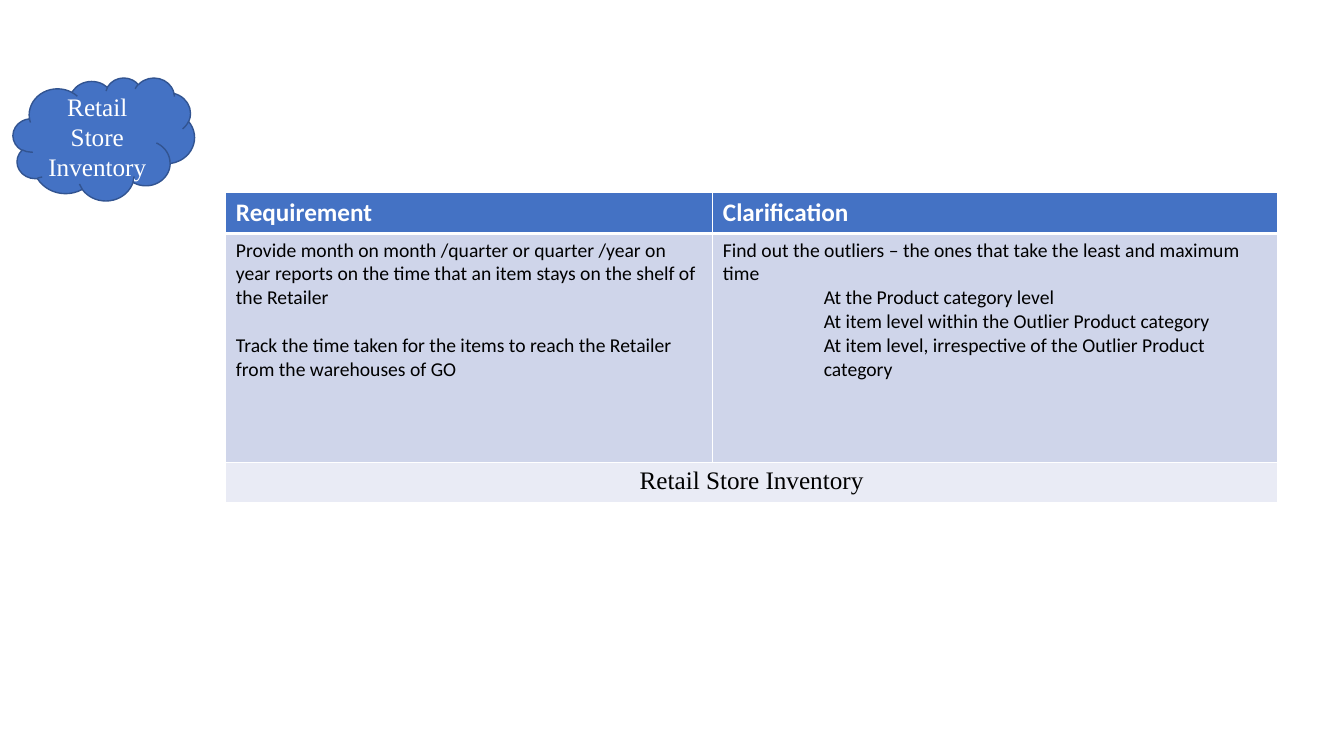
from dataclasses import dataclass

from lxml import etree
from pptx import Presentation
from pptx.dml.color import RGBColor
from pptx.enum.shapes import MSO_SHAPE
from pptx.enum.text import MSO_ANCHOR, PP_ALIGN
from pptx.oxml.ns import qn
from pptx.util import Inches, Pt

CLOUD = MSO_SHAPE.CLOUD
MIDDLE = MSO_ANCHOR.MIDDLE
LEFT, CENTER = PP_ALIGN.LEFT, PP_ALIGN.CENTER
BLANK_LAYOUT = 6


@dataclass(frozen=True)
class Theme:
    accent: str = "4472C4"
    outline: str = "325491"
    body_fill: str = "CFD5EA"
    footer_fill: str = "E9EBF5"
    white: str = "FFFFFF"
    black: str = "000000"
    sans: str = "Calibri"
    serif: str = "Times New Roman"
    large: int = 18
    small: int = 14
    thin: int = 1
    thick: int = 3


THEME = Theme()
TOPIC = "Retail Store Inventory"
HEADINGS = ["Requirement", "Clarification"]
REQUIREMENTS = [
    "Provide month on month /quarter or quarter /year on year reports on the time "
    "that an item stays on the shelf of the Retailer",
    "Track the time taken for the items to reach the Retailer from the warehouses of GO",
]
OUTLIER_TASK = "Find out the outliers – the ones that take the least and maximum time"
OUTLIER_LEVELS = [
    "At the Product category level",
    "At item level within the Outlier Product category",
    "At item level, irrespective of the Outlier Product category",
]


def write(frame, text, size=THEME.large, font=THEME.sans, color=THEME.black,
          bold=False, align=LEFT, before=0, level=0, indent=0):
    paragraph = frame.paragraphs[0] if not frame.text else frame.add_paragraph()
    paragraph.alignment = align
    paragraph.level = level
    paragraph.space_before = Pt(before)
    if indent:
        properties = paragraph._p.get_or_add_pPr()
        properties.set("marL", str(Inches(indent)))
        properties.set("indent", "0")
    run = paragraph.add_run()
    run.text = text
    run.font.size = Pt(size)
    run.font.name = font
    run.font.bold = bold
    run.font.color.rgb = RGBColor.from_string(color)


def paint(target, color):
    target.fill.solid()
    target.fill.fore_color.rgb = RGBColor.from_string(color)


def border(cell, top, bottom):
    properties = cell._tc.get_or_add_tcPr()
    widths = {"a:lnL": THEME.thin, "a:lnR": THEME.thin, "a:lnT": top, "a:lnB": bottom}
    for side, width in widths.items():
        line = etree.SubElement(properties, qn(side), w=str(Pt(width)))
        solid = etree.SubElement(line, qn("a:solidFill"))
        etree.SubElement(solid, qn("a:srgbClr"), val=THEME.white)


def add_topic_cloud(slide, left, top, width, height):
    cloud = slide.shapes.add_shape(
        CLOUD, Inches(left), Inches(top), Inches(width), Inches(height))
    cloud.shadow.inherit = False
    paint(cloud, THEME.accent)
    cloud.line.color.rgb = RGBColor.from_string(THEME.outline)
    cloud.line.width = Pt(THEME.thin)
    cloud.text_frame.word_wrap = True
    cloud.text_frame.vertical_anchor = MIDDLE
    write(cloud.text_frame, TOPIC, font=THEME.serif, color=THEME.white, align=CENTER)


def add_requirements_table(slide, left, top, width, height):
    table = slide.shapes.add_table(
        3, 2, Inches(left), Inches(top), Inches(width), Inches(height)).table
    table.horz_banding = False
    first_column, edge_row = 4.83, 0.4
    for column, size in zip(table.columns, (first_column, width - first_column)):
        column.width = Inches(size)
    for row, size in zip(table.rows, (edge_row, height - 2 * edge_row, edge_row)):
        row.height = Inches(size)

    row_styles = [
        (THEME.accent, THEME.thin, THEME.thick),
        (THEME.body_fill, THEME.thick, THEME.thin),
        (THEME.footer_fill, THEME.thin, THEME.thin),
    ]
    for row, (fill, upper, lower) in zip(table.rows, row_styles):
        for cell in row.cells:
            border(cell, upper, lower)
            paint(cell, fill)

    for column, heading in enumerate(HEADINGS):
        write(table.cell(0, column).text_frame, heading, color=THEME.white, bold=True)

    requirement, clarification = (table.cell(1, column).text_frame for column in range(2))
    for index, text in enumerate(REQUIREMENTS):
        write(requirement, text, size=THEME.small, before=17 * index)
    write(clarification, OUTLIER_TASK, size=THEME.small)
    for text in OUTLIER_LEVELS:
        write(clarification, text, size=THEME.small, level=2, indent=1)

    footer = table.cell(2, 0)
    footer.merge(table.cell(2, 1))
    write(footer.text_frame, TOPIC, font=THEME.serif, align=CENTER)


def build():
    deck = Presentation()
    deck.slide_width, deck.slide_height = Inches(13.33), Inches(7.5)
    slide = deck.slides.add_slide(deck.slide_layouts[BLANK_LAYOUT])
    add_topic_cloud(slide, 0.13, 0.77, 1.8, 1.22)
    add_requirements_table(slide, 2.24, 1.91, 10.43, 3.07)
    deck.save("out.pptx")


build()
